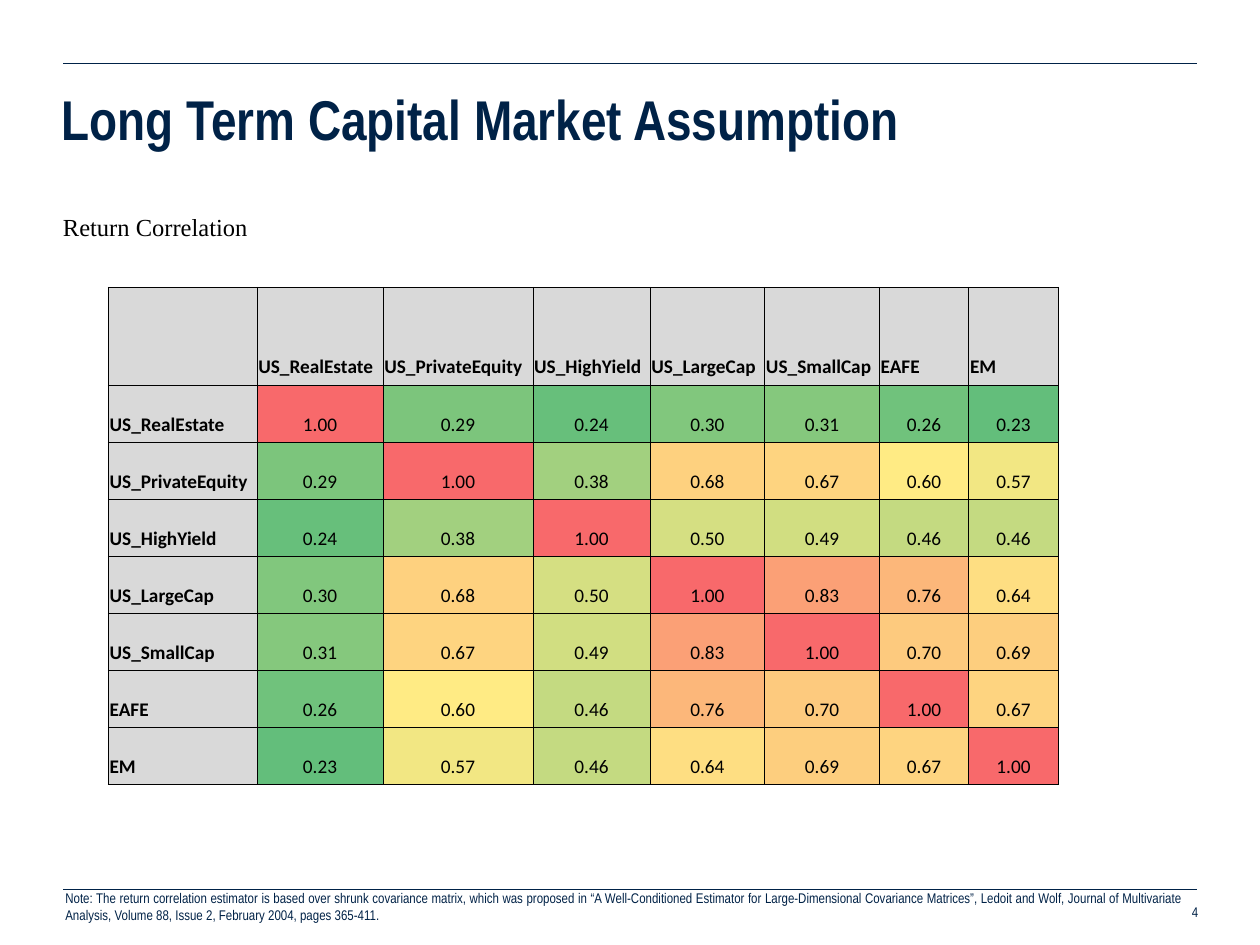
import pptx
import pptx.dml.color
import pptx.enum.shapes
import pptx.enum.text
import pptx.oxml
import pptx.oxml.ns
import pptx.util
from pptx.util import Inches

COLORS = {
    "navy": "002247",
    "black": "000000",
    "header": "D9D9D9",
    "low": "63BE7B",
    "middle": "FFEB84",
    "high": "F8696B",
}
ALIGN = pptx.enum.text.PP_ALIGN
ANCHOR = pptx.enum.text.MSO_ANCHOR

ASSETS = ["US_RealEstate", "US_PrivateEquity", "US_HighYield", "US_LargeCap",
          "US_SmallCap", "EAFE", "EM"]
# Lower triangle of the symmetric correlation matrix.
CORRELATIONS = [
    [1.00],
    [0.29, 1.00],
    [0.24, 0.38, 1.00],
    [0.30, 0.68, 0.50, 1.00],
    [0.31, 0.67, 0.49, 0.83, 1.00],
    [0.26, 0.60, 0.46, 0.76, 0.70, 1.00],
    [0.23, 0.57, 0.46, 0.64, 0.69, 0.67, 1.00],
]
LOW, MIDDLE, HIGH = 0.23, 0.60, 1.00
COLUMN_WIDTHS = [1.18, 1, 1.19, 0.93, 0.91, 0.91, 0.71, 0.71]
HEADER_HEIGHT, TABLE_HEIGHT = 0.78, 3.95

NOTE = ("Note: The return correlation estimator is based over shrunk covariance matrix, "
        "which was proposed in “A Well-Conditioned Estimator for Large-Dimensional "
        "Covariance Matrices”, Ledoit and Wolf, Journal of Multivariate Analysis, "
        "Volume 88, Issue 2, February 2004, pages 365-411.")


def rgb(value):
    return pptx.dml.color.RGBColor.from_string(value)


def heat(value):
    """Return the hex colour of a value on the green-yellow-red scale."""
    if value <= MIDDLE:
        start, end, share = "low", "middle", (value - LOW) / (MIDDLE - LOW)
    else:
        start, end, share = "middle", "high", (value - MIDDLE) / (HIGH - MIDDLE)
    pairs = zip(rgb(COLORS[start]), rgb(COLORS[end]))
    return "".join(f"{round(a + (b - a) * share):02X}" for a, b in pairs)


def write(tf, text, font="Arial Narrow", size=8, color="navy", bold=False,
          align=ALIGN.LEFT, space_before=0):
    p = tf.paragraphs[0]
    p.alignment = align
    p.space_before = pptx.util.Pt(space_before)
    r = p.add_run()
    r.text = text
    r.font.name = font
    r.font.size = pptx.util.Pt(size)
    r.font.bold = bold
    r.font.color.rgb = rgb(COLORS[color])


class Deck:
    """Holds the line width and the current slide."""
    line_width = pptx.util.Pt(0.5)

    def __init__(self, slide):
        self.slide = slide

    def rule(self, y):
        sp = self.slide.shapes.add_connector(
            pptx.enum.shapes.MSO_CONNECTOR.STRAIGHT,
            Inches(0.5), Inches(y), Inches(9.5), Inches(y))
        sp.line.color.rgb = rgb(COLORS["navy"])
        sp.line.width = self.line_width
        effects = pptx.oxml.parse_xml(f"<a:effectLst {pptx.oxml.ns.nsdecls('a')}/>")
        sp._element.spPr.append(effects)

    def text(self, box, text, left=0.0, right=0.1, anchor=ANCHOR.TOP, **fmt):
        sp = self.slide.shapes.add_textbox(*map(Inches, box))
        tf = sp.text_frame
        tf.word_wrap = True
        tf.vertical_anchor = anchor
        tf.margin_left, tf.margin_right = Inches(left), Inches(right)
        tf.margin_top = tf.margin_bottom = Inches(0.05)
        write(tf, text, **fmt)

    def cell(self, cell, text, fill, **fmt):
        cell.margin_left = cell.margin_right = cell.margin_top = Inches(0.01)
        cell.margin_bottom = Inches(0.05)
        cell.vertical_anchor = ANCHOR.BOTTOM
        tcPr = cell._tc.get_or_add_tcPr()
        for side in "LRTB":
            tcPr.append(pptx.oxml.parse_xml(
                f'<a:ln{side} {pptx.oxml.ns.nsdecls("a")} w="{self.line_width}">'
                f'<a:solidFill><a:srgbClr val="{COLORS["black"]}"/></a:solidFill>'
                f'</a:ln{side}>'))
        cell.fill.solid()
        cell.fill.fore_color.rgb = rgb(fill)
        if text:
            write(cell.text_frame, text, font="Calibri", size=11, color="black", **fmt)

    def matrix(self, left, top):
        count = len(ASSETS) + 1
        table = self.slide.shapes.add_table(
            count, count, Inches(left), Inches(top),
            Inches(sum(COLUMN_WIDTHS)), Inches(TABLE_HEIGHT)).table
        table.first_row = table.horz_banding = False
        for column, width in zip(table.columns, COLUMN_WIDTHS):
            column.width = Inches(width)
        for row in table.rows:
            row.height = Inches((TABLE_HEIGHT - HEADER_HEIGHT) / len(ASSETS))
        table.rows[0].height = Inches(HEADER_HEIGHT)

        self.cell(table.cell(0, 0), "", COLORS["header"])
        for i, name in enumerate(ASSETS):
            for header in (table.cell(0, i + 1), table.cell(i + 1, 0)):
                self.cell(header, name, COLORS["header"], bold=True)
            for j in range(len(ASSETS)):
                value = CORRELATIONS[max(i, j)][min(i, j)]
                self.cell(table.cell(i + 1, j + 1), f"{value:.2f}", heat(value),
                          align=ALIGN.CENTER)


def main():
    prs = pptx.Presentation()
    prs.slide_width, prs.slide_height = Inches(10), Inches(7.5)
    deck = Deck(prs.slides.add_slide(prs.slide_layouts[6]))

    deck.rule(0.5)
    deck.rule(7.06)
    deck.text((0.49, 0.52, 9.01, 0.83), "Long Term Capital Market Assumption",
              anchor=ANCHOR.MIDDLE, size=32, bold=True)
    deck.text((0.5, 1.63, 9, 0.5), "Return Correlation",
              font="Times New Roman", size=14, color="black", space_before=2.8)
    deck.text((7.15, 7.1, 2.36, 0.27), "4", left=0.1, right=0,
              anchor=ANCHOR.MIDDLE, align=ALIGN.RIGHT)
    deck.matrix(0.86, 2.28)
    deck.text((0.42, 7.01, 9.08, 0.55), NOTE, left=0.1, align=ALIGN.JUSTIFY)

    prs.save("out.pptx")


if __name__ == "__main__":
    main()
